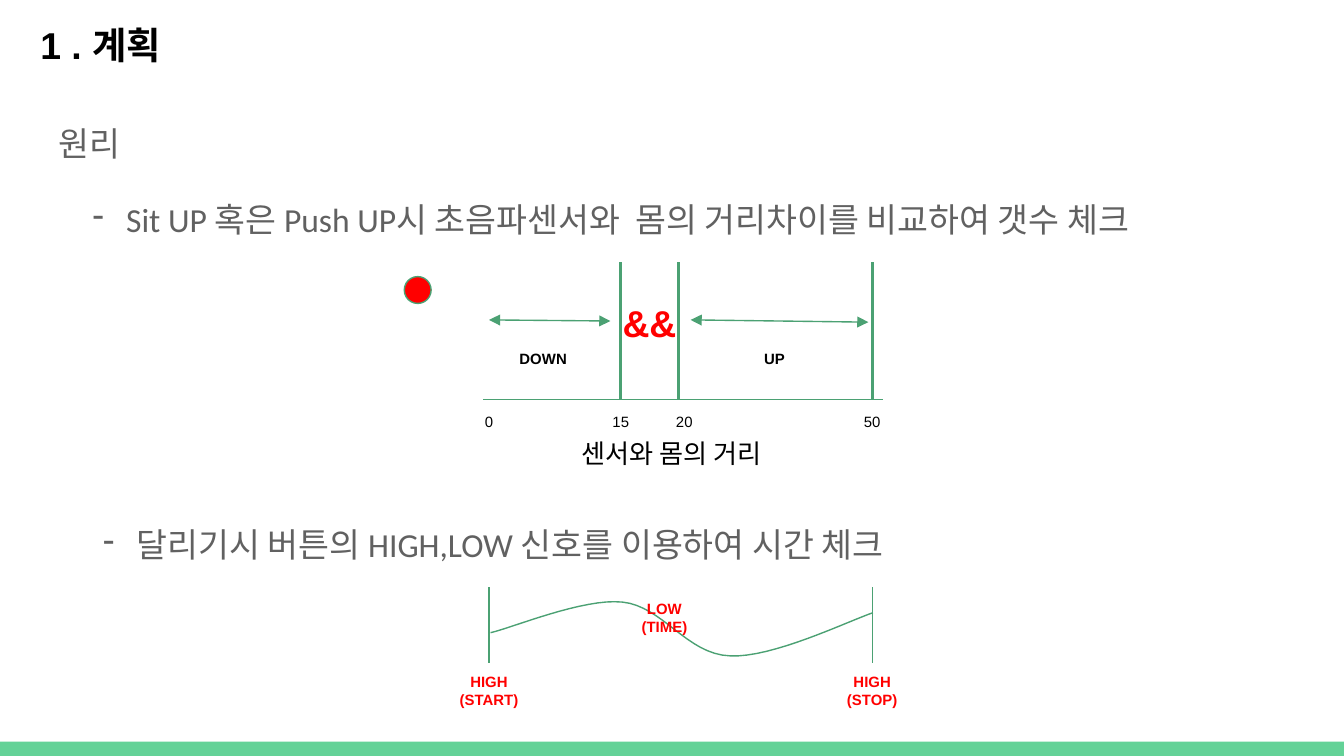
from lxml.etree import SubElement
from pptx import Presentation
from pptx.dml.color import RGBColor
from pptx.enum.shapes import MSO_CONNECTOR as Connector, MSO_SHAPE as Preset
from pptx.enum.text import MSO_ANCHOR as Anchor, PP_ALIGN as Align
from pptx.oxml.ns import qn
from pptx.util import Pt

GREEN, BAR, RED, BLACK, GREY = "4BA173", "63D297", "FF0000", "000000", "616161"


def paint(color_format, value):
    color_format.rgb = RGBColor.from_string(value)


class SlideBuilder:
    """Draws styled elements, measured in points, on the current slide."""

    def __init__(self, slide, font="Arial", body_font="Calibri", inset=7.2):
        self.slide, self.font, self.body_font = slide, font, body_font
        self.inset = Pt(inset)

    def frame(self, left, top, width, height):
        frame = self.slide.shapes.add_textbox(Pt(left), Pt(top), Pt(width), Pt(height)).text_frame
        frame.word_wrap = True
        frame.vertical_anchor = Anchor.MIDDLE
        frame.margin_left = frame.margin_right = self.inset
        frame.margin_top = frame.margin_bottom = self.inset
        return frame

    def run(self, paragraph, text, size, color, font, bold=False):
        run = paragraph.add_run()
        run.text = text
        run.font.size, run.font.name, run.font.bold = Pt(size), font, bold
        paint(run.font.color, color)

    def label(self, x, y, lines, width=52, height=32, size=8, color=BLACK, bold=True, align=Align.CENTER):
        frame = self.frame(x - width / 2, y - height / 2, width, height)
        for number, line in enumerate(lines):
            paragraph = frame.add_paragraph() if number else frame.paragraphs[0]
            paragraph.alignment = align
            self.run(paragraph, line, size, color, self.font, bold)

    def body(self, left, top, height, heading, point):
        frame = self.frame(left, top, 671, height)
        paragraph = frame.paragraphs[0]
        if heading:
            paragraph.line_spacing, paragraph.space_after = 1.15, Pt(16)
            self.run(paragraph, heading, 18, GREY, self.body_font)
            paragraph = frame.add_paragraph()
        paragraph.line_spacing = 1.15
        properties = paragraph._p.get_or_add_pPr()
        properties.set("marL", str(Pt(36)))
        properties.set("indent", str(Pt(-18)))
        SubElement(properties, qn("a:buChar"), char="-")
        self.run(paragraph, point, 18, GREY, self.body_font)

    def shape(self, preset, left, top, width, height, fill, outline=None):
        shape = self.slide.shapes.add_shape(preset, Pt(left), Pt(top), Pt(width), Pt(height))
        shape.shadow.inherit = False
        shape.fill.solid()
        paint(shape.fill.fore_color, fill)
        if outline:
            self.stroke(shape.line, color=outline)
        else:
            shape.line.fill.background()

    def stroke(self, line, weight=0.75, color=GREEN):
        line.width = Pt(weight)
        paint(line.color, color)

    def line(self, x1, y1, x2, y2, weight=0.75, arrows=False):
        connector = self.slide.shapes.add_connector(Connector.STRAIGHT, Pt(x1), Pt(y1), Pt(x2), Pt(y2))
        self.stroke(connector.line, weight)
        properties = connector._element.spPr
        if arrows:
            for end in ("a:headEnd", "a:tailEnd"):
                SubElement(connector.line._get_or_add_ln(), qn(end), type="triangle", w="med", len="med")
        SubElement(properties, qn("a:effectLst"))

    def curve(self, start, segments, steps=16):
        points, origin = [], start
        for first, second, end in segments:
            for step in range(1, steps + 1):
                t = step / steps
                weights = ((1 - t) ** 3, 3 * t * (1 - t) ** 2, 3 * t * t * (1 - t), t ** 3)
                points.append(tuple(
                    Pt(sum(w * p[axis] for w, p in zip(weights, (origin, first, second, end))))
                    for axis in (0, 1)))
            origin = end
        builder = self.slide.shapes.build_freeform(Pt(start[0]), Pt(start[1]))
        builder.add_line_segments(points, close=False)
        wave = builder.convert_to_shape()
        wave.shadow.inherit = False
        wave.fill.background()
        self.stroke(wave.line)


def main():
    deck = Presentation()
    deck.slide_width, deck.slide_height = Pt(720), Pt(405)
    build = SlideBuilder(deck.slides.add_slide(deck.slide_layouts[6]))

    build.shape(Preset.RECTANGLE, 0, 397.4, 720, 7.6, BAR)
    build.label(109, 24, ["1 . 계획"], width=189, height=26, size=20, align=Align.LEFT)
    build.body(24.5, 51, 89, "원리",
               "Sit UP 혹은 Push UP시 초음파센서와  몸의 거리차이를 비교하여 갯수 체크")
    build.body(30.2, 270, 40, None, "달리기시 버튼의 HIGH,LOW 신호를 이용하여 시간 체크")

    start, down_end, up_start, stop = 262, 332.6, 363.6, 467.3
    axis_y = 214
    build.line(259, axis_y, 473, axis_y)
    for boundary in (down_end, up_start, stop):
        build.line(boundary, axis_y, boundary, 140.4, weight=1.5)
    for x, distance in ((start, "0"), (down_end, "15"), (up_start + 3, "20"), (stop, "50")):
        build.label(x, 226, [distance], width=30, height=26, bold=False)
    build.label(360, 242.5, ["센서와 몸의 거리"], width=130, height=39, size=14, bold=False)
    build.shape(Preset.OVAL, 216.6, 148.2, 14.4, 14.4, RED, GREEN)

    build.line(start, 171.4, 327, 172, arrows=True)
    build.line(370, 171.4, 465.2, 172.6, arrows=True)
    build.label(291, 192, ["DOWN"], height=26)
    build.label(415, 192, ["UP"], height=26)
    build.label(348, 173, ["&&"], height=39, size=20, color=RED)

    for x, state in ((start, "(START)"), (stop, "(STOP)")):
        build.line(x, 314.6, x, 355)
        build.label(x, 370, ["HIGH", state], color=RED)
    build.curve((262.8, 339), [
        ((275, 336.2), (312.5, 320.4), (333.4, 322.6)),
        ((355, 324.7), (367.9, 350.6), (391, 351.4)),
        ((413.3, 352.8), (455, 332.6), (467.6, 328.3)),
    ])
    build.label(356, 331, ["LOW", "(TIME)"], color=RED)

    deck.save("out.pptx")


if __name__ == "__main__":
    main()
